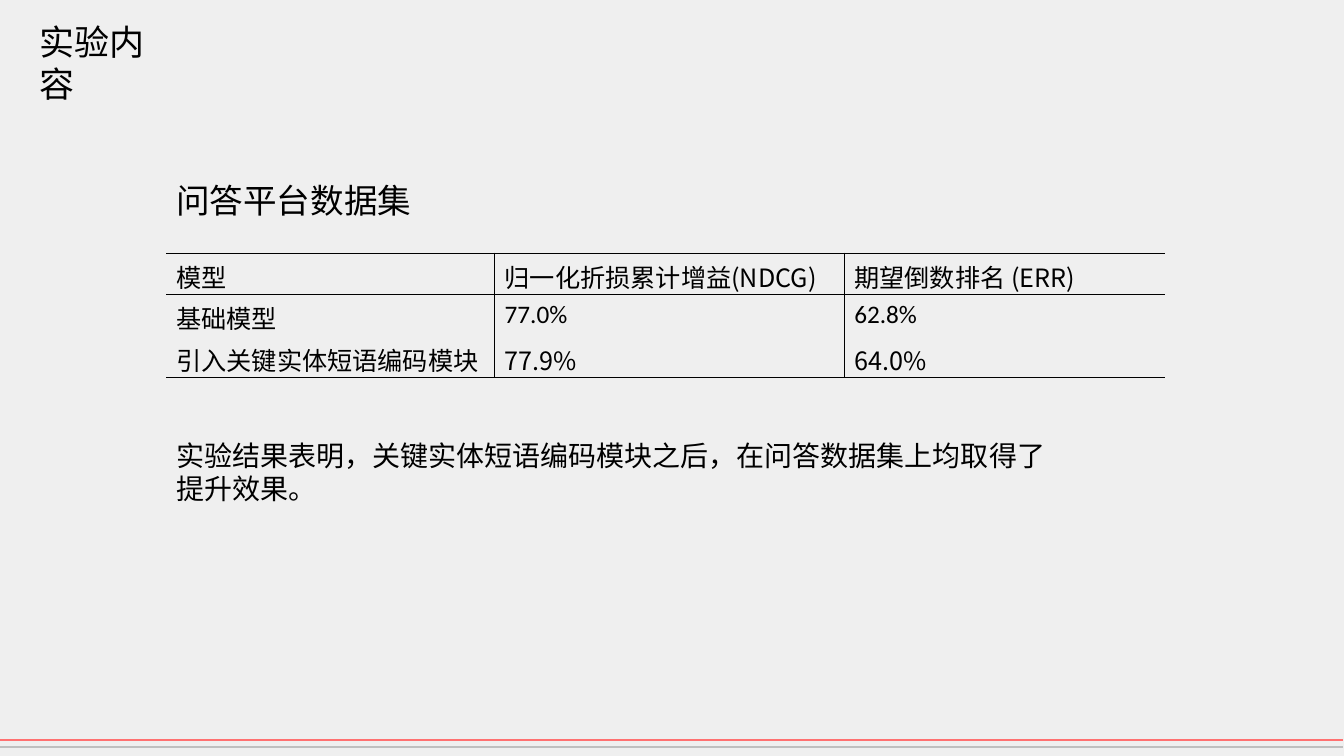
from lxml import etree
from pptx import Presentation
from pptx.dml.color import RGBColor
from pptx.enum import shapes, text
from pptx.oxml.ns import qn
from pptx.util import Inches, Pt

BLACK = RGBColor(0x00, 0x00, 0x00)
BACKGROUND = RGBColor(0xEF, 0xEF, 0xEF)
RED = RGBColor(0xFF, 0x71, 0x71)
GREY = RGBColor(0xBF, 0xBF, 0xBF)
CJK = "Noto Sans CJK SC"

# Content
TITLE = "实验内容"
TEXTS = [  # text, size, box
    ("问答平台数据集", 24, (1.65, 1.74, 2.87, 0.5)),
    ("实验结果表明，关键实体短语编码模块之后，在问答数据集上均取得了提升效果。", 20,
     (1.65, 4.3, 9, 0.77)),
]
ROWS = [  # font, cells
    (CJK, ("模型", "归一化折损累计增益(NDCG)", "期望倒数排名 (ERR)")),
    ("Calibri", ("基础模型", "77.0%", "62.8%")),
    (CJK, ("引入关键实体短语编码模块", "77.9%", "64.0%")),
]
COL_WIDTHS = (3.26, 3.47, 3.18)
ROW_HEIGHTS = (0.41, 0.4, 0.4)
FOOTER_LINES = [(7.34, RED), (7.41, GREY)]


def add_run(p, words, size, font):
    r = p.add_run()
    r.text = words
    r.font.size = Pt(size)
    r.font.name = font
    r.font.color.rgb = BLACK
    latin = r._r.rPr.find(qn("a:latin"))
    ea = etree.Element(qn("a:ea"), typeface=CJK)
    latin.addnext(ea)


def fill_box(sp, box, words, size, font, wrap=True):
    sp.left, sp.top, sp.width, sp.height = map(Inches, box)
    tf = sp.text_frame
    tf.word_wrap = wrap
    tf.auto_size = text.MSO_AUTO_SIZE.NONE
    tf.vertical_anchor = text.MSO_ANCHOR.TOP
    p = tf.paragraphs[0]
    p.alignment = text.PP_ALIGN.LEFT
    add_run(p, words, size, font)


def set_borders(cell, visible):
    tcPr = cell._tc.get_or_add_tcPr()
    for i, side in enumerate("LRTB"):
        ln = etree.Element(qn(f"a:ln{side}"), w=str(Pt(0.45)))
        if side in visible:
            fill = etree.SubElement(ln, qn("a:solidFill"))
            etree.SubElement(fill, qn("a:srgbClr"), val=str(BLACK))
        else:
            etree.SubElement(ln, qn("a:noFill"))
        tcPr.insert(i, ln)


prs = Presentation()
prs.slide_width, prs.slide_height = Inches(13.34), Inches(7.5)
s = prs.slides.add_slide(prs.slide_layouts[5])
s.background.fill.solid()
s.background.fill.fore_color.rgb = BACKGROUND

# Footer lines
for y, color in FOOTER_LINES:
    line = s.shapes.add_connector(shapes.MSO_CONNECTOR.STRAIGHT,
                                  0, Inches(y), Inches(13.33), Inches(y))
    line.line.color.rgb = color
    line.line.width = Pt(1.5)
    etree.SubElement(line._element.spPr, qn("a:effectLst"))

# Title and texts
fill_box(s.shapes.title, (0.29, 0.15, 1.58, 0.52), TITLE, 25, "Courier New", wrap=False)
for words, size, box in TEXTS:
    fill_box(s.shapes.add_textbox(0, 0, 0, 0), box, words, size, "Arial")

# Results table: inner verticals, rules around the header and at the bottom
table = s.shapes.add_table(len(ROWS), len(COL_WIDTHS), Inches(1.65), Inches(2.51),
                           Inches(sum(COL_WIDTHS)), Inches(sum(ROW_HEIGHTS))).table
table.first_row = table.horz_banding = False
for col, width in zip(table.columns, COL_WIDTHS):
    col.width = Inches(width)
for row, height in zip(table.rows, ROW_HEIGHTS):
    row.height = Inches(height)

last_row, last_col = len(ROWS) - 1, len(COL_WIDTHS) - 1
for i, (font, cells) in enumerate(ROWS):
    for j, words in enumerate(cells):
        cell = table.cell(i, j)
        cell.margin_top, cell.margin_bottom = Inches(0.05), 0
        cell.fill.background()
        add_run(cell.text_frame.paragraphs[0], words, 18, font)
        visible = ("L" if j > 0 else "") + ("R" if j < last_col else "")
        visible += ("T" if i < 2 else "") + ("B" if i in (0, last_row) else "")
        set_borders(cell, visible)

prs.save("out.pptx")
